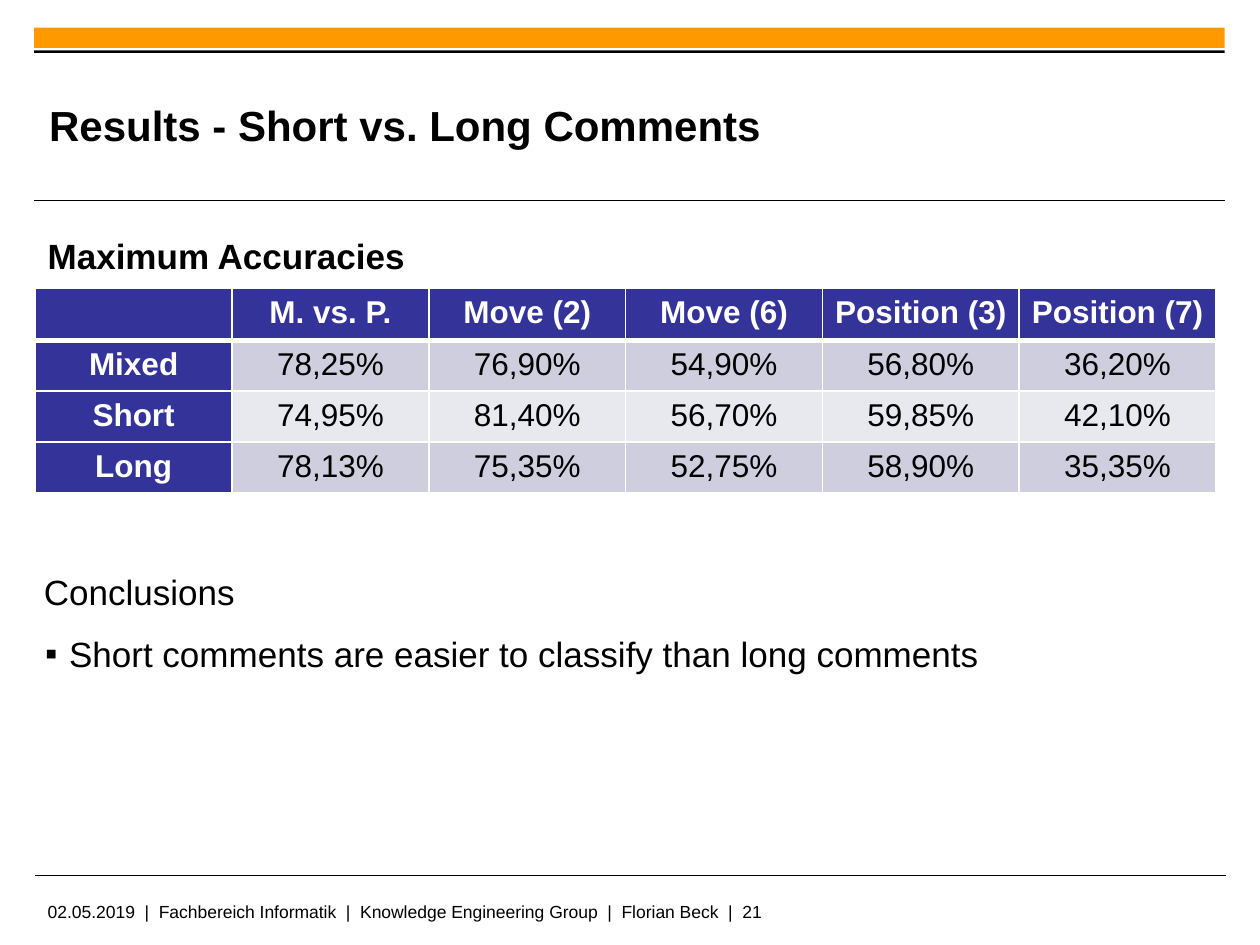
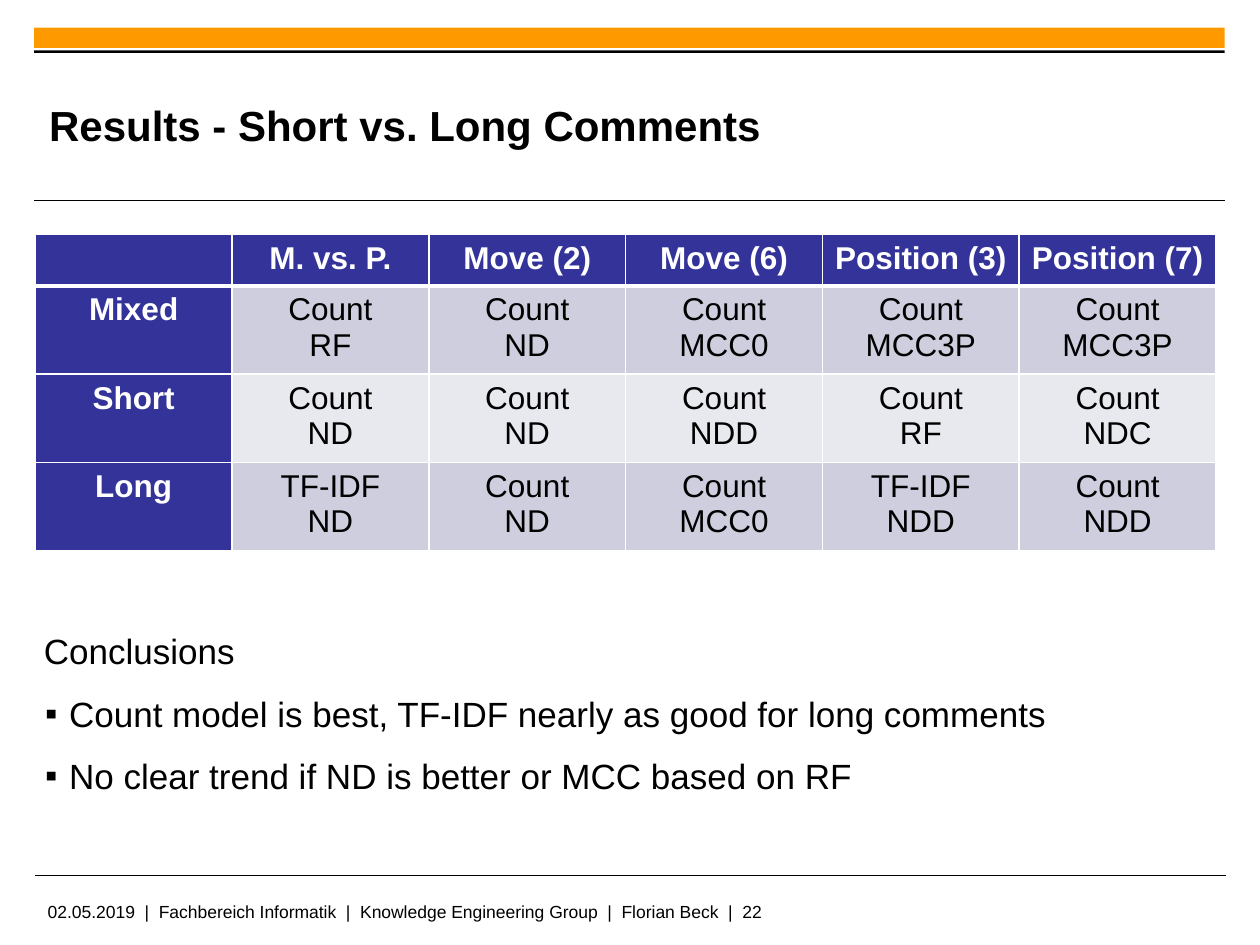
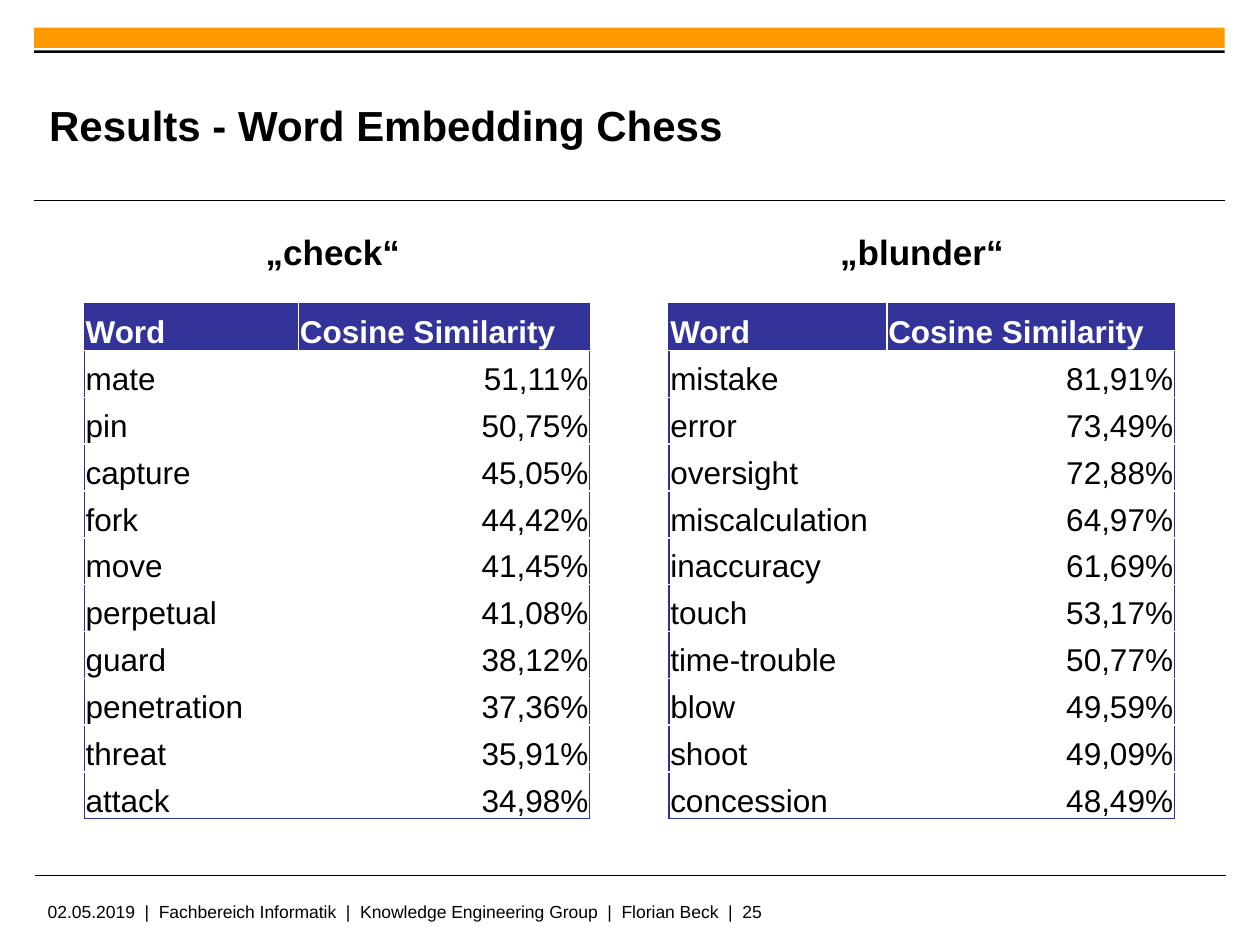
from lxml import etree
from pptx import Presentation
from pptx.dml.color import RGBColor
from pptx.enum.shapes import MSO_CONNECTOR, MSO_SHAPE
from pptx.enum.text import MSO_ANCHOR, MSO_AUTO_SIZE, PP_ALIGN
from pptx.oxml.ns import qn
from pptx.util import Inches, Pt

LEFT, CENTER, RIGHT = PP_ALIGN.LEFT, PP_ALIGN.CENTER, PP_ALIGN.RIGHT
TOP, MIDDLE, BOTTOM = MSO_ANCHOR.TOP, MSO_ANCHOR.MIDDLE, MSO_ANCHOR.BOTTOM
NO_FIT = MSO_AUTO_SIZE.NONE
GROW = MSO_AUTO_SIZE.SHAPE_TO_FIT_TEXT
RECTANGLE, STRAIGHT = MSO_SHAPE.RECTANGLE, MSO_CONNECTOR.STRAIGHT

FONT = "Arial"
BLACK, WHITE, ORANGE = "000000", "FFFFFF", "FF9900"
NAVY, FRAME, BAND_DARK, BAND_LIGHT = "333399", "2F2F98", "CECEDE", "E8E8EF"
FOOTER = ("02.05.2019", "Fachbereich Informatik", "Knowledge Engineering Group",
          "Florian Beck")
COLUMNS, ROWS = 100, 75  # grid of the slide
WIDTH, HEIGHT = Inches(10), Inches(7.5)


def color(value):
    """Turn a hex string into a colour."""
    return RGBColor.from_string(value)


def across(columns):
    """Length of a number of grid columns."""
    return round(WIDTH * columns / COLUMNS)


def down(rows):
    """Length of a number of grid rows."""
    return round(HEIGHT * rows / ROWS)


def place(left, top, width, height):
    """Convert a grid rectangle to slide lengths."""
    return across(left), down(top), across(width), down(height)


def write(para, text, size, ink=BLACK, bold=False, align=LEFT):
    """Fill a paragraph and format its runs."""
    para.text = text
    para.alignment = align
    for span in para.runs:
        span.font.name = FONT
        span.font.size = Pt(size)
        span.font.bold = bold
        span.font.color.rgb = color(ink)


def border(cell, **sides):
    """Draw cell borders given as side=(hex colour, points)."""
    properties = cell._tc.get_or_add_tcPr()
    for side in "LRTB":
        if side in sides:
            ink, points = sides[side]
            line = etree.SubElement(properties, qn("a:ln" + side), w=str(Pt(points)))
            fill = etree.SubElement(line, qn("a:solidFill"))
            etree.SubElement(fill, qn("a:srgbClr"), val=ink)


def paint(cell, fill):
    """Fill a cell, or leave it clear when fill is None."""
    if fill:
        cell.fill.solid()
        cell.fill.fore_color.rgb = color(fill)
    else:
        cell.fill.background()


class Talk:
    """The deck's style and the slide being built."""

    def __init__(self):
        """Start an empty deck."""
        self.deck = Presentation()
        self.deck.slide_width, self.deck.slide_height = WIDTH, HEIGHT
        self.page = None

    def new_page(self, title, number):
        """Add a slide with its bands, rules, title and footer."""
        self.page = self.deck.slides.add_slide(self.deck.slide_layouts[5])
        self.bar(2.2, 1.6, ORANGE)
        self.bar(4, 0.2, BLACK)
        self.rule(2.7, 15.9)
        self.rule(2.8, 69.5)
        self.label("  |  ".join((*FOOTER, str(number))), (2.8, 71, 78.8, 2.5), 10)
        self.title(title)

    def title(self, text):
        """Move and format the title placeholder."""
        box = self.page.shapes.title
        box.left, box.top, box.width, box.height = place(3.9, 5.3, 72.6, 9.2)
        frame = box.text_frame
        frame.margin_left = frame.margin_right = 0
        frame.margin_top = frame.margin_bottom = 0
        frame.vertical_anchor = MIDDLE
        frame.auto_size = NO_FIT
        write(frame.paragraphs[0], text, 24, bold=True)

    def bar(self, top, height, fill):
        """Draw a full-width band."""
        box = self.page.shapes.add_shape(RECTANGLE, *place(2.7, top, 94.5, height))
        box.shadow.inherit = False
        box.fill.solid()
        box.fill.fore_color.rgb = color(fill)
        box.line.fill.background()

    def rule(self, left, top):
        """Draw a thin full-width line."""
        line = self.page.shapes.add_connector(
            STRAIGHT, across(left), down(top), across(left + 94.5), down(top))
        line.line.color.rgb = color(BLACK)
        line.line.width = Pt(0.6)
        etree.SubElement(line._element.spPr, qn("a:effectLst"))

    def text_box(self, area, wrap=True):
        """Add an empty text box and return its frame."""
        frame = self.page.shapes.add_textbox(*place(*area)).text_frame
        frame.word_wrap = wrap
        return frame

    def label(self, text, area, size):
        """Add one wrapped line of plain text."""
        write(self.text_box(area).paragraphs[0], text, size)

    def heading(self, text, area):
        """Add a bold heading above a table."""
        frame = self.text_box(area, wrap=False)
        frame.auto_size = GROW
        write(frame.paragraphs[0], text, 20, bold=True)

    def conclusions(self, top, points):
        """Add the conclusions with square bullets, ending above the footer."""
        frame = self.text_box((2.5, top, 94, 66.7 - top))
        for index, text in enumerate(("Conclusions", *points)):
            para = frame.add_paragraph() if index else frame.paragraphs[0]
            write(para, text, 20)
            para.level = 1
            para.line_spacing = 1.3
            para.space_before, para.space_after = Pt(2), Pt(2.3)
            properties = para._p.get_or_add_pPr()
            properties.set("marL", str(across(2) if index else 0))
            properties.set("indent", str(across(-1.9) if index else 0))
            if index:
                etree.SubElement(properties, qn("a:buFont"), typeface=FONT)
                etree.SubElement(properties, qn("a:buChar"), char="▪")
            else:
                etree.SubElement(properties, qn("a:buNone"))

    def grid(self, left, top, widths, heights):
        """Add a table without banding and return it."""
        table = self.page.shapes.add_table(
            len(heights), len(widths),
            *place(left, top, sum(widths), sum(heights))).table
        table.horz_banding = False
        for column, width in zip(table.columns, widths):
            column.width = across(width)
        for row, height in zip(table.rows, heights):
            row.height = down(height)
        return table

    def result_table(self, top, row_height, results):
        """Add the banded table of results by comment length."""
        header = ("", "M. vs. P.", "Move (2)", "Move (6)", "Position (3)", "Position (7)")
        rows = [header, *results]
        table = self.grid(2.8, top, [15.62] * len(header),
                          [4.1] + [row_height] * len(results))
        thin = (WHITE, 1)
        for r, row in enumerate(rows):
            for c, text in enumerate(row):
                cell = table.cell(r, c)
                label = r == 0 or c == 0
                if r == 0:
                    border(cell, L=thin, R=thin, T=thin, B=(WHITE, 3))
                else:
                    border(cell, L=thin, R=thin, B=thin)
                paint(cell, NAVY if label else BAND_DARK if r % 2 else BAND_LIGHT)
                cell.vertical_anchor = TOP
                write(cell.text_frame.paragraphs[0], text, 18,
                      WHITE if label else BLACK, label, CENTER)

    def similarity_table(self, left, widths, similarities):
        """Add a framed table of words and their similarity."""
        rows = [("Word", "Cosine Similarity"), *similarities]
        table = self.grid(left, 24.1, widths, [3.72] * len(rows))
        for r, row in enumerate(rows):
            for c, text in enumerate(row):
                cell = table.cell(r, c)
                sides = ["R" if c else "L"]
                if r == 0:
                    sides.append("T")
                if r == len(rows) - 1:
                    sides.append("B")
                border(cell, **dict.fromkeys(sides, (FRAME, 0.75)))
                paint(cell, None if r else NAVY)
                cell.margin_left = cell.margin_right = cell.margin_top = Inches(0.01)
                cell.margin_bottom = 0
                cell.vertical_anchor = BOTTOM
                write(cell.text_frame.paragraphs[0], text, 18,
                      BLACK if r else WHITE, r == 0, RIGHT if r and c else LEFT)


talk = Talk()

talk.new_page("Results - Short vs. Long Comments", 21)
talk.result_table(22.9, 4.05, [
    ("Mixed", "78,25%", "76,90%", "54,90%", "56,80%", "36,20%"),
    ("Short", "74,95%", "81,40%", "56,70%", "59,85%", "42,10%"),
    ("Long", "78,13%", "75,35%", "52,75%", "58,90%", "35,35%"),
])
talk.heading("Maximum Accuracies", (2.8, 18.1, 30.6, 4.4))
talk.conclusions(43.8, ["Short comments are easier to classify than long comments"])

talk.new_page("Results - Short vs. Long Comments", 22)
talk.result_table(18.6, 6.6, [
    ("Mixed", "Count\nRF", "Count\nND", "Count\nMCC0", "Count\nMCC3P", "Count\nMCC3P"),
    ("Short", "Count\nND", "Count\nND", "Count\nNDD", "Count\nRF", "Count\nNDC"),
    ("Long", "TF-IDF\nND", "Count\nND", "Count\nMCC0", "TF-IDF\nNDD", "Count\nNDD"),
])
talk.conclusions(48.5, [
    "Count model is best, TF-IDF nearly as good for long comments",
    "No clear trend if ND is better or MCC based on RF",
])

talk.new_page("Results - Word Embedding Chess", 25)
talk.similarity_table(53.1, (17.3, 22.8), [
    ("mistake", "81,91%"), ("error", "73,49%"), ("oversight", "72,88%"),
    ("miscalculation", "64,97%"), ("inaccuracy", "61,69%"), ("touch", "53,17%"),
    ("time-trouble", "50,77%"), ("blow", "49,59%"), ("shoot", "49,09%"),
    ("concession", "48,49%"),
])
talk.similarity_table(6.7, (17, 23.1), [
    ("mate", "51,11%"), ("pin", "50,75%"), ("capture", "45,05%"),
    ("fork", "44,42%"), ("move", "41,45%"), ("perpetual", "41,08%"),
    ("guard", "38,12%"), ("penetration", "37,36%"), ("threat", "35,91%"),
    ("attack", "34,98%"),
])
talk.heading("„check“", (20.1, 17.8, 13.5, 4.4))
talk.heading("„blunder“", (65.7, 17.8, 15, 4.4))

talk.deck.save("out.pptx")
